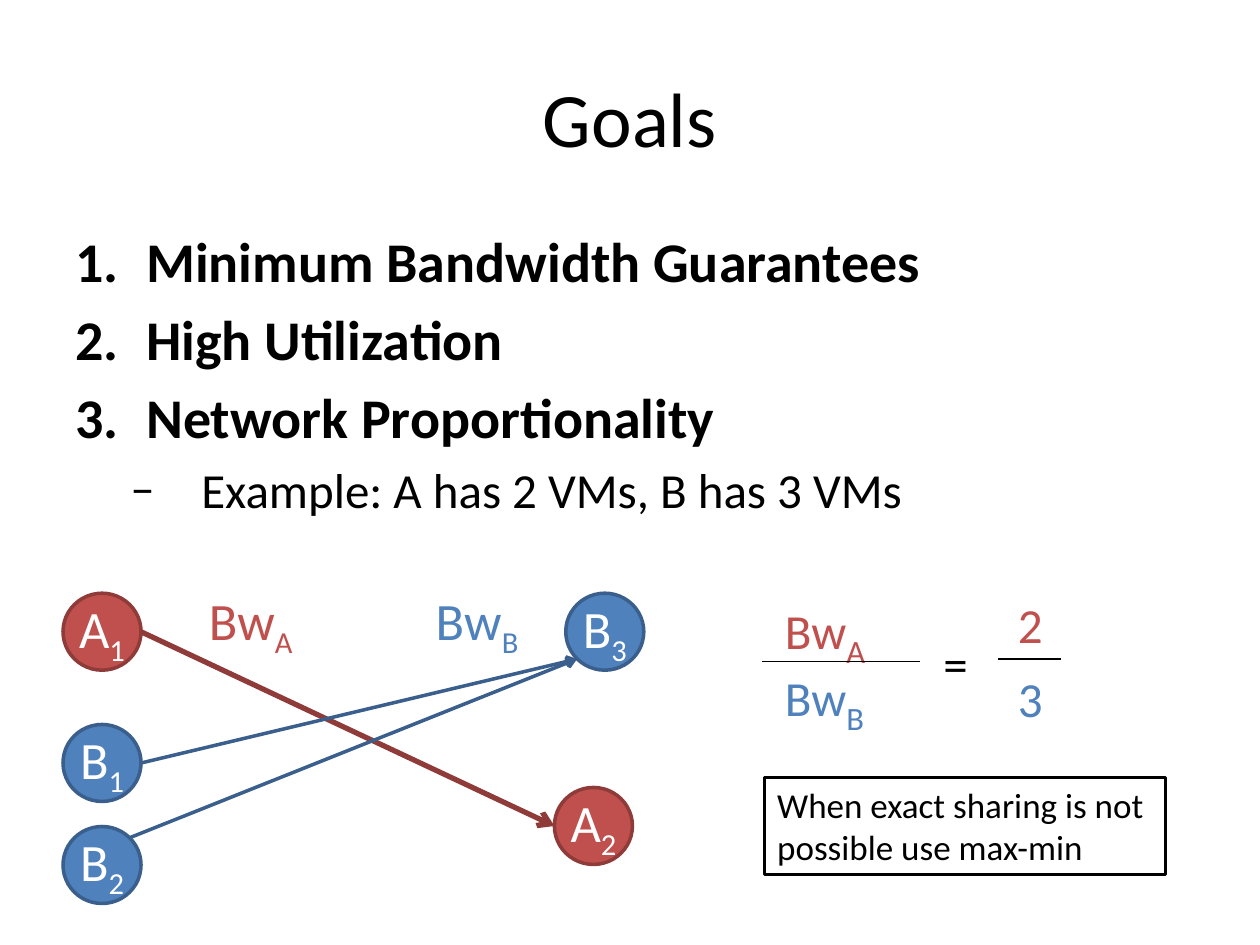
from math import cos, radians, sin

from lxml.etree import SubElement
from pptx import Presentation
from pptx.dml.color import RGBColor
from pptx.enum.shapes import MSO_CONNECTOR as Connector, MSO_SHAPE as Shape
from pptx.enum.text import MSO_ANCHOR as Anchor, PP_ALIGN as Align
from pptx.oxml.ns import qn
from pptx.util import Pt

BLACK = RGBColor(0x00, 0x00, 0x00)
WHITE = RGBColor(0xFF, 0xFF, 0xFF)
RED = RGBColor(0xC0, 0x50, 0x4D)
DARK_RED = RGBColor(0x8E, 0x3B, 0x39)
BLUE = RGBColor(0x4F, 0x81, 0xBD)
DARK_BLUE = RGBColor(0x3A, 0x5F, 0x8C)

TENANTS = {"A": (RED, DARK_RED), "B": (BLUE, DARK_BLUE)}
NODE_WIDTH, NODE_HEIGHT = 44.6, 44
NODES = {
    "A1": (36, 339),
    "A2": (316.8, 450),
    "B1": (36, 414),
    "B2": (36, 472.3),
    "B3": (323.3, 339),
}
FLOWS = [("A1", 0, "A2", 180, 3), ("B1", 0, "B3", 135, 2), ("B2", -45, "B3", 135, 2)]
GOALS = ["Minimum Bandwidth Guarantees", "High Utilization", "Network Proportionality"]
EXAMPLE = "Example: A has 2 VMs, B has 3 VMs"


def add_run(paragraph, text, size, color=BLACK, bold=False, subscript=False):
    """Append one formatted run to a paragraph."""
    run = paragraph.add_run()
    run.text = text
    run.font.name = "Calibri"
    run.font.size = Pt(size)
    run.font.bold = bold
    run.font.color.rgb = color
    if subscript:
        run._r.get_or_add_rPr().set("baseline", "-25000")


def add_text_box(slide, left, top, width, height, wrap=False):
    """Add an empty text box and return its text frame."""
    box = slide.shapes.add_textbox(Pt(left), Pt(top), Pt(width), Pt(height))
    box.text_frame.word_wrap = wrap
    return box.text_frame


def add_label(slide, left, top, width, height, text, size, color, subscript="", subscript_size=None):
    """Add a one-line label with an optional subscript."""
    paragraph = add_text_box(slide, left, top, width, height).paragraphs[0]
    add_run(paragraph, text, size, color)
    if subscript:
        add_run(paragraph, subscript, subscript_size or size, color, subscript=True)


def add_filled_shape(slide, kind, left, top, width, height, fill, line):
    """Add a preset shape with a solid fill and a 2-point outline."""
    shape = slide.shapes.add_shape(kind, Pt(left), Pt(top), Pt(width), Pt(height))
    shape.shadow.inherit = False
    shape.fill.solid()
    shape.fill.fore_color.rgb = fill
    shape.line.color.rgb = line
    shape.line.width = Pt(2)
    return shape


def add_node(slide, name):
    """Add the circle of one virtual machine, such as A1."""
    tenant, number = name
    shape = add_filled_shape(slide, Shape.OVAL, *NODES[name], NODE_WIDTH, NODE_HEIGHT, *TENANTS[tenant])
    frame = shape.text_frame
    frame.margin_left = frame.margin_right = 0
    frame.vertical_anchor = Anchor.MIDDLE
    paragraph = frame.paragraphs[0]
    paragraph.alignment = Align.CENTER
    add_run(paragraph, tenant, 30, WHITE)
    add_run(paragraph, number, 30, WHITE, subscript=True)


def edge_point(name, angle):
    """Return the point on a node's rim at a clockwise angle from its right side."""
    left, top = NODES[name]
    x = left + NODE_WIDTH / 2 * (1 + cos(radians(angle)))
    y = top + NODE_HEIGHT / 2 * (1 + sin(radians(angle)))
    return x, y


def add_line(slide, start, end, color, width, arrow=False):
    """Add a straight line, with an arrowhead at its end if asked."""
    line = slide.shapes.add_connector(Connector.STRAIGHT, *map(Pt, start + end))
    line.line.color.rgb = color
    line.line.width = Pt(width)
    if arrow:
        SubElement(line.line._get_or_add_ln(), qn("a:tailEnd"), type="arrow")
    SubElement(line._element.spPr, qn("a:effectLst"))


def add_list_item(paragraph, text, size, indent, bullet_tag, bullet, bold=False):
    """Fill a paragraph as a list item with a hanging indent."""
    properties = paragraph._p.get_or_add_pPr()
    properties.set("marL", str(Pt(indent)))
    properties.set("indent", str(-Pt(40.5)))
    SubElement(properties, qn("a:buFont"), typeface="Calibri")
    SubElement(properties, qn(bullet_tag), **bullet)
    add_run(paragraph, text, size, bold=bold)


def add_title(slide):
    """Add the centred slide title."""
    frame = add_text_box(slide, 36, 21.6, 648, 90, wrap=True)
    frame.vertical_anchor = Anchor.MIDDLE
    frame.paragraphs[0].alignment = Align.CENTER
    add_run(frame.paragraphs[0], "Goals", 44)


def add_goals(slide):
    """Add the numbered goals and the example below them."""
    frame = add_text_box(slide, 36, 126, 648, 356.4, wrap=True)
    for index, goal in enumerate(GOALS):
        paragraph = frame.add_paragraph() if index else frame.paragraphs[0]
        if index:
            paragraph.space_before = Pt(6)
        add_list_item(paragraph, goal, 32, 40.5, "a:buAutoNum", {"type": "arabicPeriod"}, bold=True)
    paragraph = frame.add_paragraph()
    paragraph.level = 1
    paragraph.space_before = Pt(5.5)
    add_list_item(paragraph, EXAMPLE, 28, 72, "a:buChar", {"char": "–"})


def add_flow_diagram(slide):
    """Add the virtual machines and the flows between them."""
    for source, source_angle, target, target_angle, width in FLOWS:
        start, end = edge_point(source, source_angle), edge_point(target, target_angle)
        add_line(slide, start, end, TENANTS[source[0]][1], width, arrow=True)
    for name in NODES:
        add_node(slide, name)
    add_label(slide, 112.3, 332.6, 64.8, 44, "Bw", 30, RED, "A")
    add_label(slide, 241.9, 332.6, 64.1, 44, "Bw", 30, BLUE, "B")


def add_ratio(slide):
    """Add the bandwidth ratio written as two fractions."""
    add_label(slide, 441.4, 335.5, 62, 46, "Bw", 28, RED, "A", 32)
    add_label(slide, 441.4, 373.7, 62, 46, "Bw", 28, BLUE, "B", 32)
    add_label(slide, 532, 358.6, 33, 41, "=", 28, BLACK)
    add_label(slide, 574.6, 336.2, 28.8, 41, "2", 28, RED)
    add_label(slide, 574.6, 378.7, 28.8, 41, "3", 28, BLUE)
    add_line(slide, (435.6, 378), (525.6, 378), BLACK, 0.75)
    add_line(slide, (570.2, 376.6), (606.2, 376.6), BLACK, 0.75)


def add_note(slide):
    """Add the framed remark on max-min sharing."""
    shape = add_filled_shape(slide, Shape.RECTANGLE, 437, 444.2, 229, 55.5, WHITE, BLACK)
    frame = shape.text_frame
    frame.word_wrap = True
    frame.vertical_anchor = Anchor.TOP
    frame.paragraphs[0].alignment = Align.LEFT
    add_run(frame.paragraphs[0], "When exact sharing is not possible use max-min", 20)


def main():
    """Build the slide and save it."""
    presentation = Presentation()
    presentation.slide_width, presentation.slide_height = Pt(720), Pt(540)
    slide = presentation.slides.add_slide(presentation.slide_layouts[6])
    add_title(slide)
    add_goals(slide)
    add_flow_diagram(slide)
    add_ratio(slide)
    add_note(slide)
    presentation.save("out.pptx")


if __name__ == "__main__":
    main()
